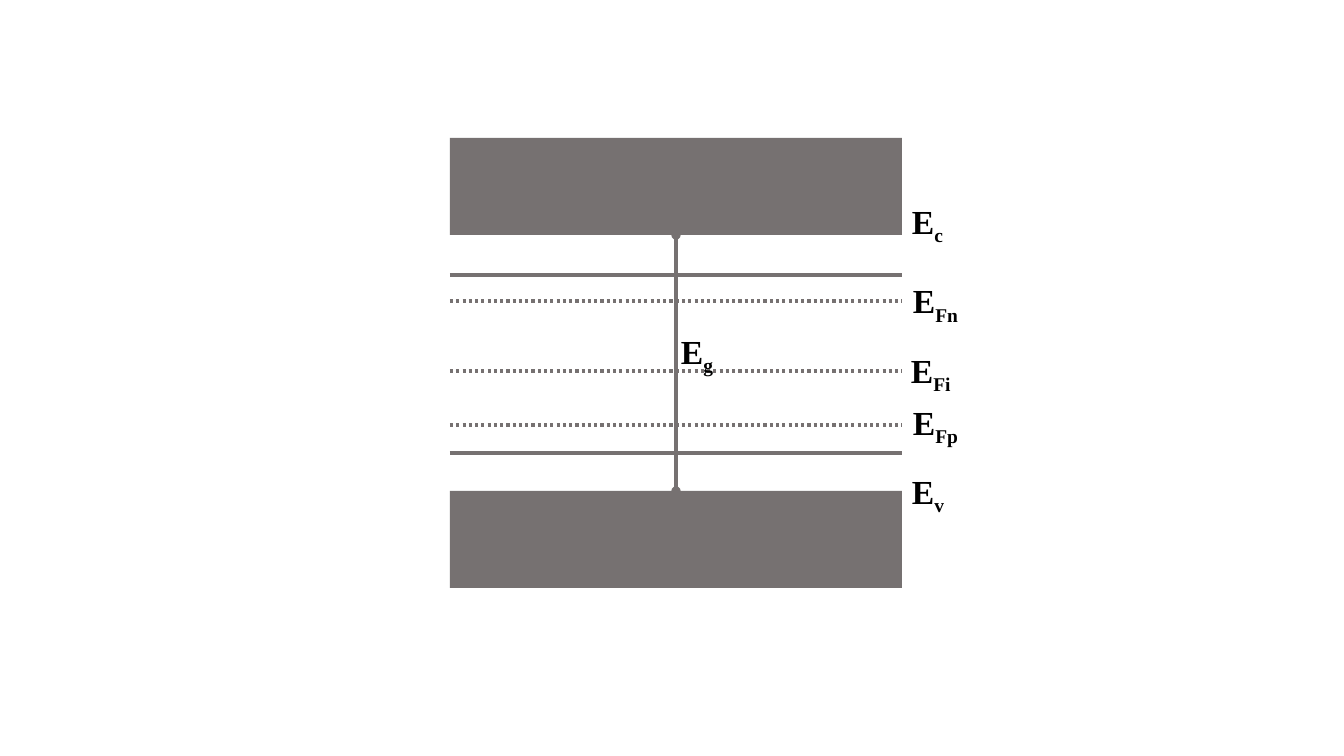
from lxml.etree import SubElement
from pptx import Presentation
from pptx.dml.color import RGBColor
from pptx.enum.dml import MSO_LINE
from pptx.enum.shapes import MSO_CONNECTOR, MSO_SHAPE
from pptx.enum.text import MSO_AUTO_SIZE
from pptx.oxml.ns import qn
from pptx.util import Emu, Pt

COLORS = {"band": "767171", "text": "000000"}
FONT = "Times New Roman"

SLIDE_WIDTH, SLIDE_HEIGHT = 1344, 756
BAND_LEFT, BAND_WIDTH, BAND_HEIGHT = 450, 452, 97
BAND_RIGHT = BAND_LEFT + BAND_WIDTH
CENTER = BAND_LEFT + BAND_WIDTH // 2
CONDUCTION_TOP, VALENCE_TOP = 138, 491
LABEL_HEIGHT = 49

DOPANT_LEVELS = [275, 453]
FERMI_LEVELS = [301, 425, 371]

# subscript, left, top, width
LABELS = [
    ("c", BAND_RIGHT, 196, 55),
    ("v", BAND_RIGHT, 466, 55),
    ("Fn", BAND_RIGHT + 1, 275, 78),
    ("Fp", BAND_RIGHT + 1, 397, 78),
    ("Fi", BAND_RIGHT - 1, 345, 78),
    ("g", CENTER - 5, 326, 55),
]


def px(value):
    return Emu(round(value * 914400 / 100.8))


def color(name):
    return RGBColor.from_string(COLORS[name])


def add_band(shapes, top):
    band = shapes.add_shape(MSO_SHAPE.RECTANGLE, px(BAND_LEFT), px(top),
                            px(BAND_WIDTH), px(BAND_HEIGHT))
    band.shadow.inherit = False
    band.fill.solid()
    band.fill.fore_color.rgb = color("band")
    band.line.fill.background()


def add_line(shapes, x1, y1, x2, y2):
    connector = shapes.add_connector(MSO_CONNECTOR.STRAIGHT,
                                     px(x1), px(y1), px(x2), px(y2))
    connector.line.color.rgb = color("band")
    connector.line.width = Pt(2.25)
    SubElement(connector._element.spPr, qn("a:effectLst"))
    return connector.line


def add_level(shapes, y):
    return add_line(shapes, BAND_LEFT, y, BAND_RIGHT, y)


def add_gap_line(shapes):
    """Span the band gap with a line that has a dot at each end."""
    line = add_line(shapes, CENTER, VALENCE_TOP,
                    CENTER, CONDUCTION_TOP + BAND_HEIGHT)
    for end in ("a:headEnd", "a:tailEnd"):
        SubElement(line._get_or_add_ln(), qn(end), type="oval")


def add_label(shapes, subscript, left, top, width):
    box = shapes.add_textbox(px(left), px(top), px(width), px(LABEL_HEIGHT))
    frame = box.text_frame
    frame.word_wrap = True
    frame.auto_size = MSO_AUTO_SIZE.SHAPE_TO_FIT_TEXT
    paragraph = frame.paragraphs[0]
    for text in ("E", subscript):
        run = paragraph.add_run()
        run.text = text
    run.font._element.set("baseline", "-25000")
    paragraph.font.name = FONT
    paragraph.font.size = Pt(24)
    paragraph.font.bold = True
    paragraph.font.color.rgb = color("text")


def main():
    presentation = Presentation()
    presentation.slide_width = px(SLIDE_WIDTH)
    presentation.slide_height = px(SLIDE_HEIGHT)
    slide = presentation.slides.add_slide(presentation.slide_layouts[6])
    shapes = slide.shapes.add_group_shape().shapes

    for top in (CONDUCTION_TOP, VALENCE_TOP):
        add_band(shapes, top)
    for y in DOPANT_LEVELS:
        add_level(shapes, y)
    for y in FERMI_LEVELS:
        add_level(shapes, y).dash_style = MSO_LINE.ROUND_DOT
    add_gap_line(shapes)
    for label in LABELS:
        add_label(shapes, *label)

    presentation.save("out.pptx")


if __name__ == "__main__":
    main()
